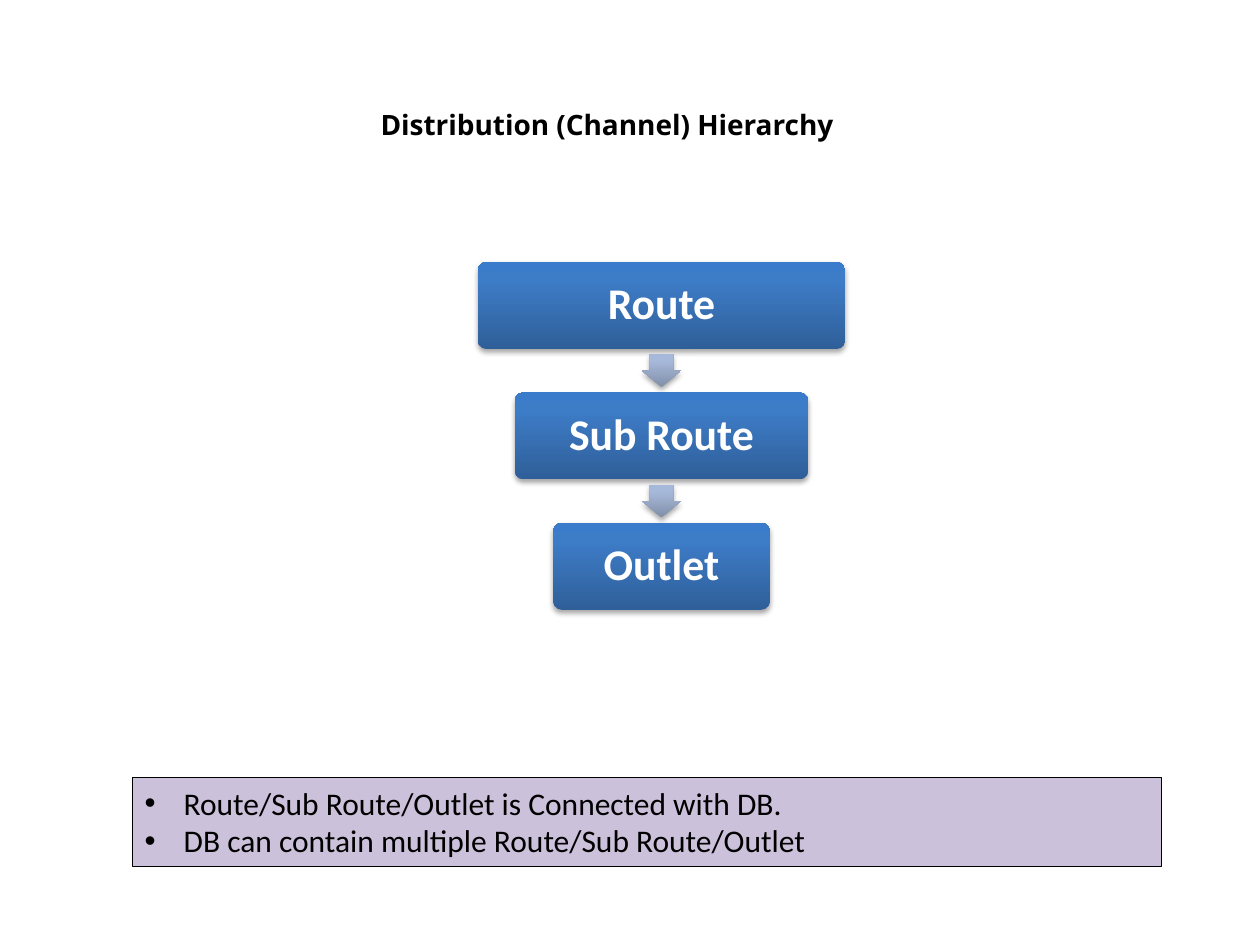
from lxml.etree import SubElement
from pptx import Presentation
from pptx.dml.color import RGBColor
from pptx.enum.shapes import MSO_SHAPE as Shape
from pptx.enum.text import MSO_ANCHOR as Anchor, MSO_AUTO_SIZE as AutoSize, PP_ALIGN as Align
from pptx.oxml.ns import qn
from pptx.util import Inches, Pt

TITLE = "Distribution (Channel) Hierarchy"
LEVELS = [("Route", 2.92), ("Sub Route", 2.33), ("Outlet", 1.72)]
NOTES = ["Route/Sub Route/Outlet is Connected with DB. ",
         "DB can contain multiple Route/Sub Route/Outlet"]
LEVEL_BLUES = [(0, "2F5F99"), (80, "3D7CC7"), (100, "3A7CCB")]
ARROW_BLUES = [(0, "818FA8"), (80, "A7B9DA"), (100, "A7BADC")]
AXIS, TOP, STEP, LEVEL_H = 5.25, 2.08, 1.035, 0.69
ARROW_W, ARROW_H = 0.31, 0.26

deck = Presentation()
deck.slide_width, deck.slide_height = Inches(10), Inches(7.5)
slide = deck.slides.add_slide(deck.slide_layouts[5])


def color(value):
    return RGBColor.from_string(value)


def child(parent, tag, **attrs):
    return SubElement(parent, qn(tag), {k: str(v) for k, v in attrs.items()})


def write(paragraph, text, size, font, ink, bold=False):
    run = paragraph.add_run()
    run.text = text
    run.font.size, run.font.name, run.font.bold = Pt(size), font, bold
    run.font.color.rgb = color(ink)


def add_shape(kind, left, top, width, height):
    shape = slide.shapes.add_shape(kind, *map(Inches, (left, top, width, height)))
    shape.shadow.inherit = False
    return shape


def add_glossy(kind, middle, width, height, blues, adjustments):
    shape = add_shape(kind, AXIS - width / 2, middle - height / 2, width, height)
    for i, value in enumerate(adjustments):
        shape.adjustments[i] = value
    shape.line.fill.background()
    shape.fill.background()
    properties = shape.fill._xPr
    blank = properties.find(qn("a:noFill"))
    gradient = child(properties, "a:gradFill", rotWithShape=1)
    properties.replace(blank, gradient)
    stops = child(gradient, "a:gsLst")
    for share, blue in blues:
        child(child(stops, "a:gs", pos=share * 1000), "a:srgbClr", val=blue)
    child(gradient, "a:lin", ang=270 * 60000, scaled=0)
    shadow = child(properties.find(qn("a:effectLst")), "a:outerShdw", blurRad=Pt(3.1),
                   dist=Pt(1.8), dir=90 * 60000, rotWithShape=0)
    child(child(shadow, "a:srgbClr", val="000000"), "a:alpha", val=35000)
    return shape


heading = slide.shapes.title
heading.left, heading.top, heading.width, heading.height = map(Inches, (2.92, 0.8, 4.34, 0.37))
frame = heading.text_frame
frame.word_wrap, frame.auto_size, frame.vertical_anchor = False, AutoSize.SHAPE_TO_FIT_TEXT, Anchor.TOP
frame.paragraphs[0].alignment = Align.LEFT
write(frame.paragraphs[0], TITLE, 16, "Open Sans", "000000", True)

notes = add_shape(Shape.RECTANGLE, 1.05, 6.17, 8.17, 0.71)
notes.fill.solid()
notes.fill.fore_color.rgb = color("CCC1DA")
notes.line.color.rgb = color("000000")
notes.line.width = Pt(0.75)
frame = notes.text_frame
frame.word_wrap, frame.auto_size, frame.vertical_anchor = True, AutoSize.SHAPE_TO_FIT_TEXT, Anchor.TOP
for i, note in enumerate(NOTES):
    paragraph = frame.add_paragraph() if i else frame.paragraphs[0]
    paragraph.alignment = Align.LEFT
    layout = paragraph._p.get_or_add_pPr()
    layout.set("marL", str(Inches(0.31)))
    layout.set("indent", str(-Inches(0.31)))
    child(layout, "a:buFont", typeface="Arial")
    child(layout, "a:buChar", char="•")
    write(paragraph, note, 18, "Calibri", "000000")

for i, (name, width) in enumerate(LEVELS):
    middle = TOP + i * STEP + LEVEL_H / 2
    if i:
        add_glossy(Shape.DOWN_ARROW, middle - STEP / 2, ARROW_W, ARROW_H, ARROW_BLUES, (0.6, 0.5))
    level = add_glossy(Shape.ROUNDED_RECTANGLE, middle, width, LEVEL_H, LEVEL_BLUES, (0.1,))
    frame = level.text_frame
    frame.word_wrap, frame.vertical_anchor = True, Anchor.MIDDLE
    frame.margin_left = frame.margin_right = frame.margin_top = frame.margin_bottom = Inches(0.1)
    paragraph = frame.paragraphs[0]
    paragraph.alignment, paragraph.line_spacing = Align.CENTER, 0.9
    write(paragraph, name, 25, "Calibri", "FFFFFF", True)

deck.save("out.pptx")
